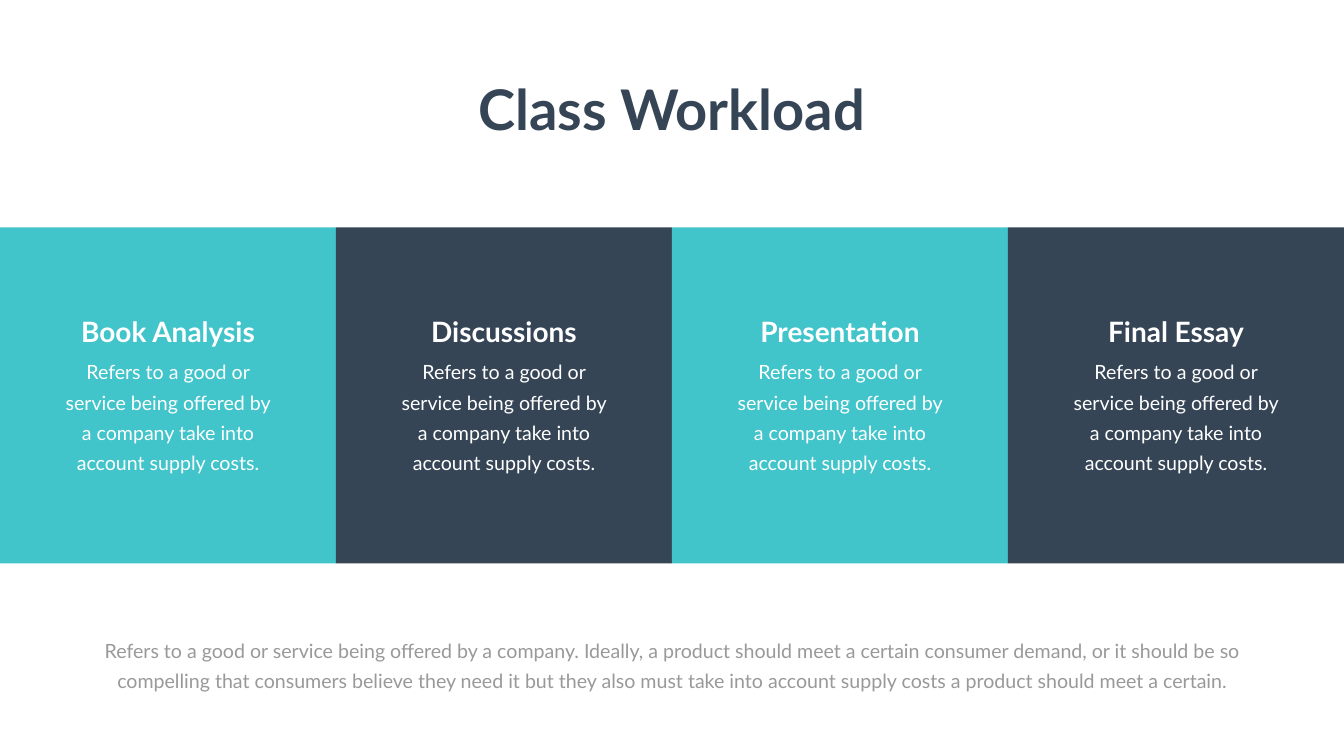
from pptx import Presentation
from pptx.dml.color import RGBColor
from pptx.enum.shapes import MSO_SHAPE as Shape
from pptx.enum.text import MSO_AUTO_SIZE as AutoSize, PP_ALIGN as Align
from pptx.util import Cm, Pt

PAGE_WIDTH, PAGE_HEIGHT = 67.72, 38.1
TEAL, NAVY, WHITE, GRAY = "42C4CB", "364556", "FFFFFF", "999999"
TASKS = ["Book Analysis", "Discussions", "Presentation", "Final Essay"]
TASK_TEXT = ("Refers to a good or service being offered by a company "
             "take into account supply costs.")
SUMMARY = ("Refers to a good or service being offered by a company. Ideally, a product "
           "should meet a certain consumer demand, or it should be so compelling that "
           "consumers believe they need it but they also must take into account supply "
           "costs a product should meet a certain.")
BODY_FRAME = {"margin_left": Cm(0.61), "margin_right": Cm(0.61),
              "margin_top": Cm(0.3), "margin_bottom": Cm(0.3)}
BODY_PARA = {"line_spacing": Pt(43)}


def color(value):
    return RGBColor.from_string(value)


def apply(target, values):
    for name, value in values.items():
        setattr(target, name, value)


def add_text(page, area, text, size, tint, bold=False, frame_format=None, para_format=None):
    box = page.shapes.add_textbox(*map(Cm, area))
    frame = box.text_frame
    apply(frame, {"word_wrap": True, "auto_size": AutoSize.SHAPE_TO_FIT_TEXT,
                  **(frame_format or {})})
    para = frame.paragraphs[0]
    apply(para, {"alignment": Align.CENTER, **(para_format or {})})
    span = para.add_run()
    span.text = text
    apply(span.font, {"name": "Lato", "size": Pt(size), "bold": bold})
    span.font.color.rgb = color(tint)


def centered(area, top, width, height):
    left, area_top, area_width, _ = area
    return left + (area_width - width) / 2, area_top + top, width, height


def add_title(page, area):
    add_text(page, centered(area, 3.61, 26.64, 3.68), "Class Workload", 80, NAVY, bold=True)


def add_task(page, area, heading, fill):
    panel = page.shapes.add_shape(Shape.RECTANGLE, *map(Cm, area))
    panel.shadow.inherit = False
    panel.fill.solid()
    panel.fill.fore_color.rgb = color(fill)
    panel.line.fill.background()
    add_text(page, centered(area, 6.07, 11.81, 6.58), TASK_TEXT, 28, WHITE,
             frame_format=BODY_FRAME, para_format=BODY_PARA)
    add_text(page, centered(area, 4.27, 10.08, 1.96), heading, 40, WHITE, bold=True)


def add_tasks(page, area):
    left, top, width, height = area
    side = width / len(TASKS)
    for index, heading in enumerate(TASKS):
        fill = (TEAL, NAVY)[index % 2]
        add_task(page, (left + index * side, top, side, height), heading, fill)


def add_summary(page, area):
    add_text(page, centered(area, 3.18, 59.79, 3.51), SUMMARY, 28, GRAY,
             frame_format=BODY_FRAME, para_format=BODY_PARA)


def main():
    deck = Presentation()
    apply(deck, {"slide_width": Cm(PAGE_WIDTH), "slide_height": Cm(PAGE_HEIGHT)})
    page = deck.slides.add_slide(deck.slide_layouts[6])
    band_top, band_height = 11.46, PAGE_WIDTH / len(TASKS)
    band_bottom = band_top + band_height
    add_title(page, (0, 0, PAGE_WIDTH, band_top))
    add_tasks(page, (0, band_top, PAGE_WIDTH, band_height))
    add_summary(page, (0, band_bottom, PAGE_WIDTH, PAGE_HEIGHT - band_bottom))
    deck.save("out.pptx")


if __name__ == "__main__":
    main()
